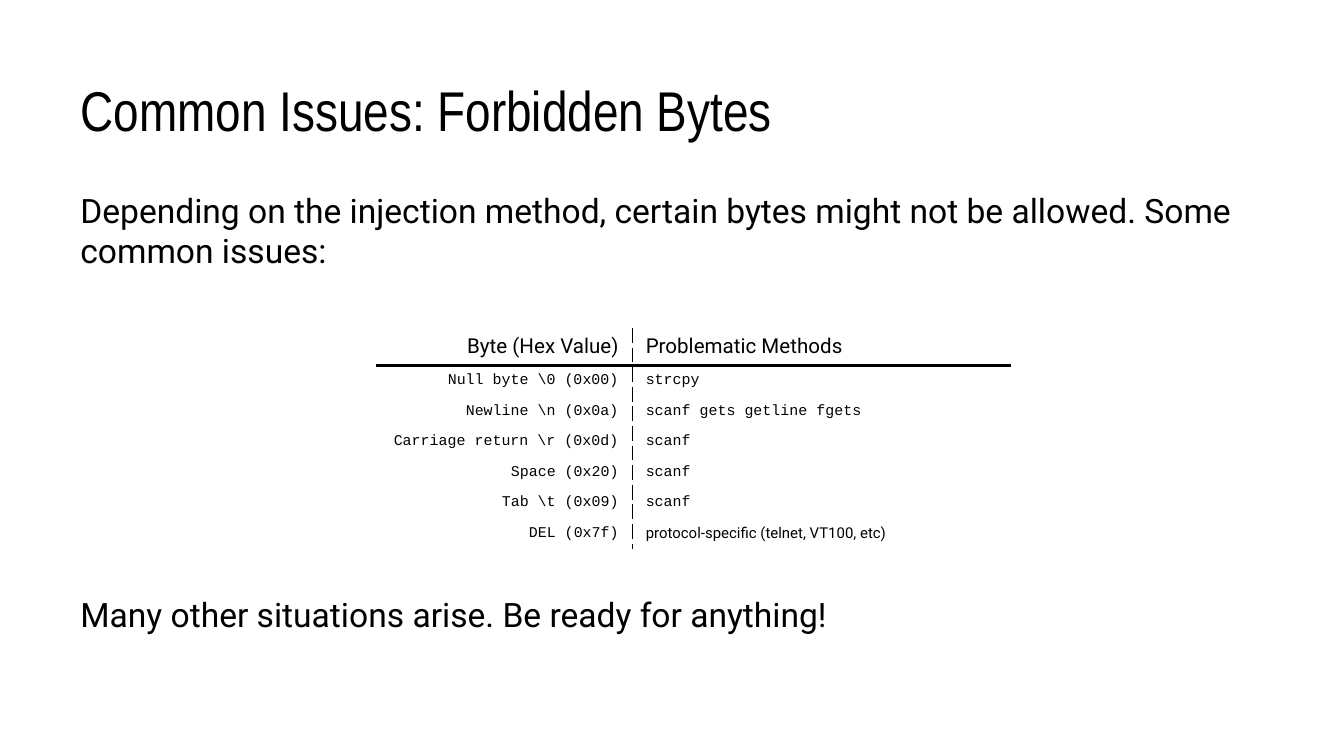
from dataclasses import dataclass

from lxml import etree
from pptx import Presentation
from pptx import util as u
from pptx.dml.color import RGBColor
from pptx.enum import text
from pptx.oxml import ns

COLORS = {"ink": "000000", "paper": "FFFFFF"}
FONTS = {"title": "Arial Narrow", "body": "Roboto", "code": "Courier New"}
GRID = 0.1  # inches per grid unit: the slide is 100 columns wide
DASHED = (0.75, "dash")
SOLID = (1.5, "solid")


@dataclass
class Box:
    column: float
    row: float
    columns: float
    rows: float


@dataclass
class ByteRow:
    byte: str
    methods: str
    size: int = 8
    byte_font: str = "code"
    methods_font: str = "code"


TITLE_BOX = Box(5, 2.25, 90, 9.4)
BODY_BOX = Box(5, 13.14, 90, 40.7)
TABLE_BOX = Box(28, 24.4, 47.2, 11.2)
TABLE_COLUMNS = (19.05, 28.15)

BYTE_ROWS = [
    ByteRow("Byte (Hex Value)", "Problematic Methods", 11, "body", "body"),
    ByteRow(r"Null byte \0 (0x00)", "strcpy"),
    ByteRow(r"Newline \n (0x0a)", "scanf gets getline fgets"),
    ByteRow(r"Carriage return \r (0x0d)", "scanf"),
    ByteRow("Space (0x20)", "scanf"),
    ByteRow(r"Tab \t (0x09)", "scanf"),
    ByteRow("DEL (0x7f)", "protocol-specific (telnet, VT100, etc)", methods_font="body"),
]


def units(count: float) -> u.Length:
    return u.Inches(count * GRID)


def frame(box: Box) -> tuple:
    return tuple(units(n) for n in (box.column, box.row, box.columns, box.rows))


def format_paragraph(paragraph, font: str, size: float, align=text.PP_ALIGN.LEFT) -> None:
    paragraph.alignment = align
    paragraph.font.name = FONTS[font]
    paragraph.font.size = u.Pt(size)
    paragraph.font.color.rgb = RGBColor.from_string(COLORS["ink"])


def set_frame(text_frame, anchor) -> None:
    text_frame.word_wrap = True
    text_frame.auto_size = text.MSO_AUTO_SIZE.NONE
    text_frame.vertical_anchor = anchor
    for side in ("left", "right", "top", "bottom"):
        setattr(text_frame, f"margin_{side}", units(1))


def add_borders(cell, borders: dict) -> None:
    """Draw the given sides and switch the others off."""
    properties = cell._tc.get_or_add_tcPr()
    for side in "LRTB":
        line = etree.SubElement(properties, ns.qn(f"a:ln{side}"))
        if side not in borders:
            etree.SubElement(line, ns.qn("a:noFill"))
            continue
        width, dash = borders[side]
        line.set("w", str(u.Pt(width)))
        fill = etree.SubElement(line, ns.qn("a:solidFill"))
        etree.SubElement(fill, ns.qn("a:srgbClr"), val=COLORS["ink"])
        etree.SubElement(line, ns.qn("a:prstDash"), val=dash)


def add_byte_table(slide, box: Box, rows: list[ByteRow]) -> None:
    table = slide.shapes.add_table(len(rows), len(TABLE_COLUMNS), *frame(box)).table
    table.first_row = table.horz_banding = False
    for column, width in zip(table.columns, TABLE_COLUMNS):
        column.width = units(width)
    for i, row in enumerate(rows):
        table.rows[i].height = units(box.rows / len(rows))
        cells = (
            (row.byte, row.byte_font, text.PP_ALIGN.RIGHT, "R"),
            (row.methods, row.methods_font, text.PP_ALIGN.LEFT, "L"),
        )
        for j, (words, font, align, inner_side) in enumerate(cells):
            cell = table.cell(i, j)
            cell.text = words
            format_paragraph(cell.text_frame.paragraphs[0], font, row.size, align)
            borders = {inner_side: DASHED}
            if i < 2:  # the rule between header and first row
                borders["B" if i == 0 else "T"] = SOLID
            add_borders(cell, borders)
            cell.fill.background()


def main() -> None:
    presentation = Presentation()
    presentation.slide_width = u.Inches(10)
    presentation.slide_height = presentation.slide_width * 9 // 16
    slide = presentation.slides.add_slide(presentation.slide_layouts[5])
    slide.background.fill.solid()
    slide.background.fill.fore_color.rgb = RGBColor.from_string(COLORS["paper"])

    # Title
    title = slide.shapes.title
    title.left, title.top, title.width, title.height = frame(TITLE_BOX)
    title.text = "Common Issues: Forbidden Bytes"
    set_frame(title.text_frame, text.MSO_ANCHOR.BOTTOM)
    format_paragraph(title.text_frame.paragraphs[0], "title", 30)

    # Body text, with a gap that holds the table
    body = slide.shapes.add_textbox(*frame(BODY_BOX)).text_frame
    set_frame(body, text.MSO_ANCHOR.TOP)
    body.text = (
        "Depending on the injection method, certain bytes might not be allowed. "
        "Some common issues:\nMany other situations arise. Be ready for anything!"
    )
    for paragraph in body.paragraphs:
        format_paragraph(paragraph, "body", 18)
    body.paragraphs[1].space_before = u.Pt(173)

    # Table of forbidden bytes
    add_byte_table(slide, TABLE_BOX, BYTE_ROWS)

    presentation.save("out.pptx")


if __name__ == "__main__":
    main()
